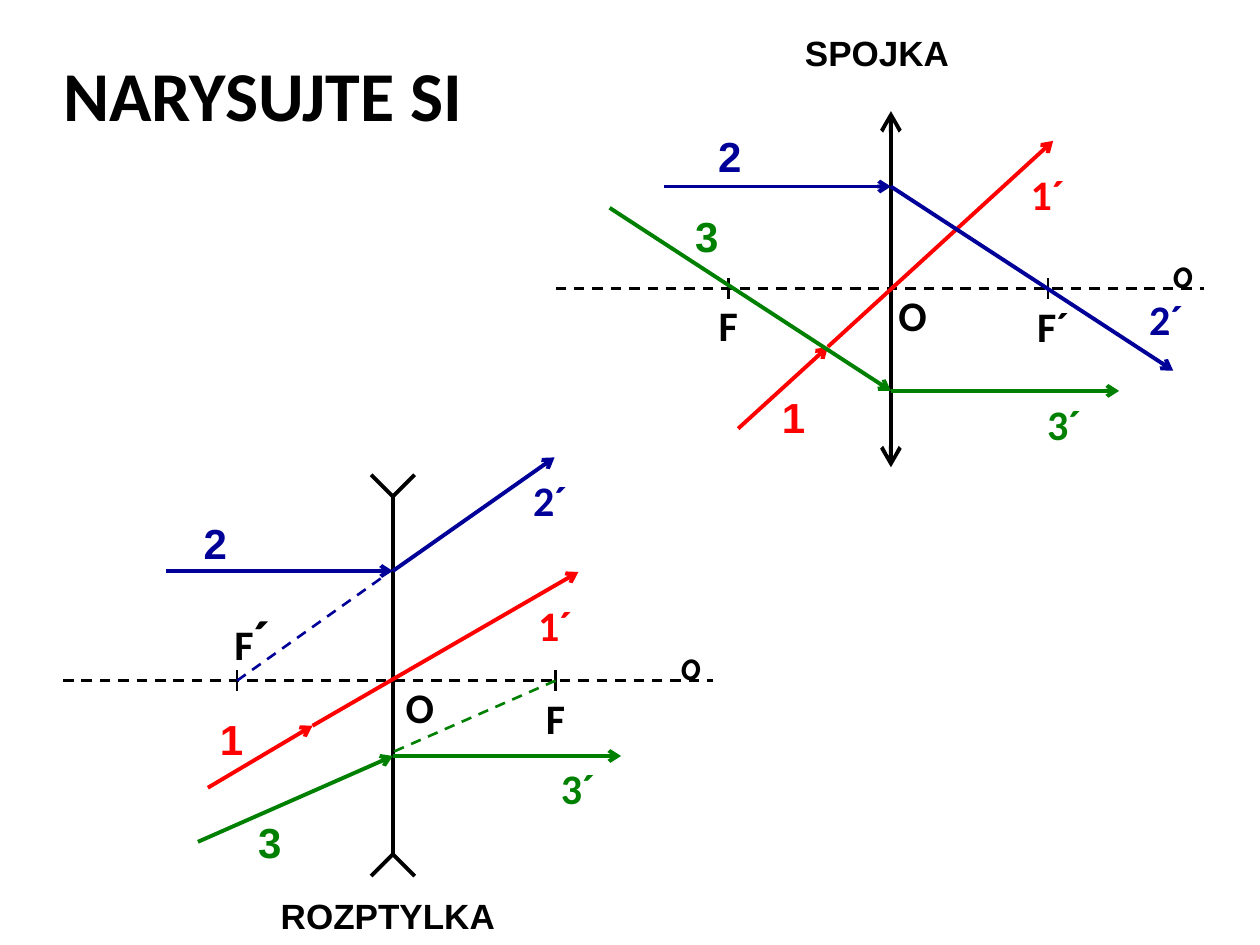
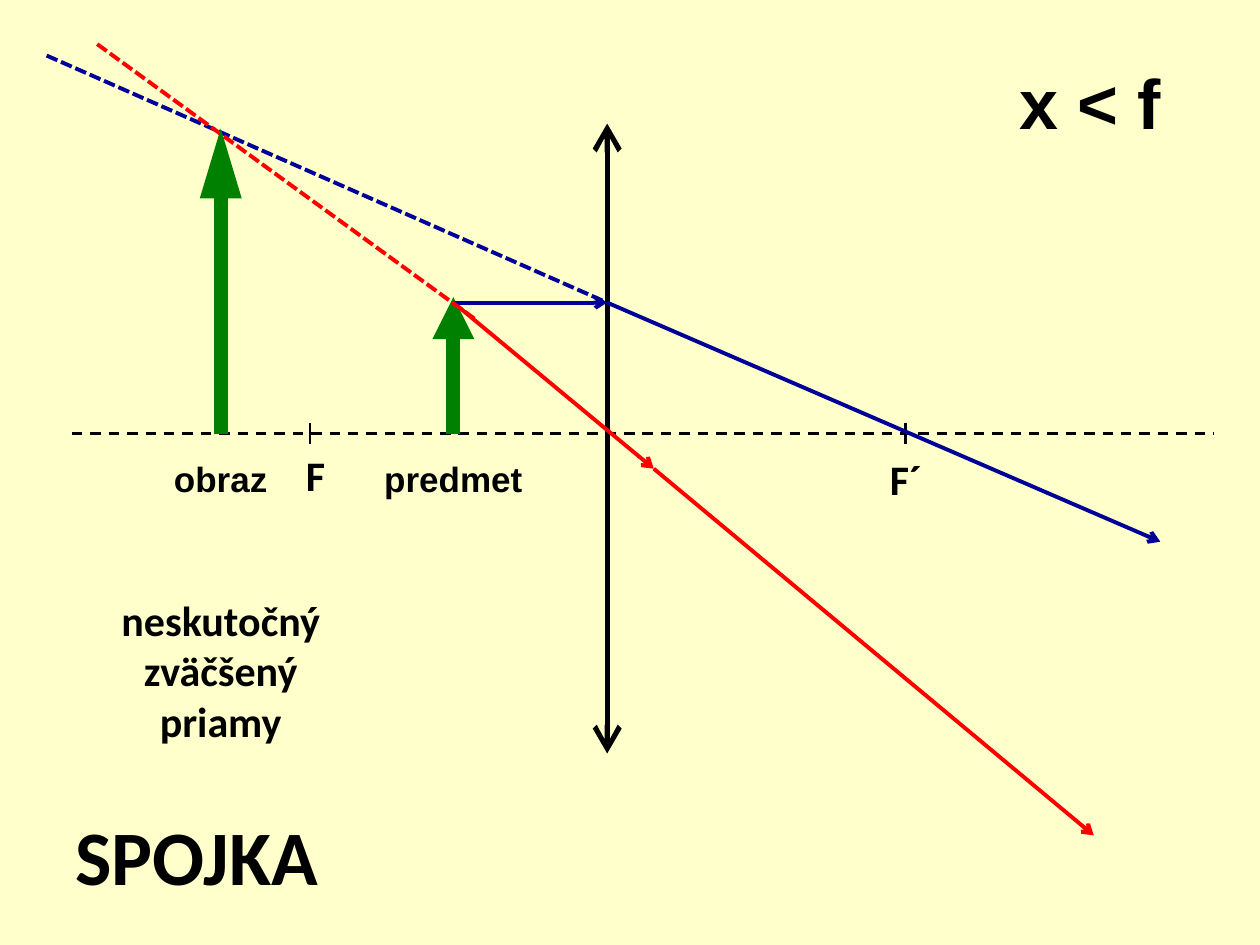
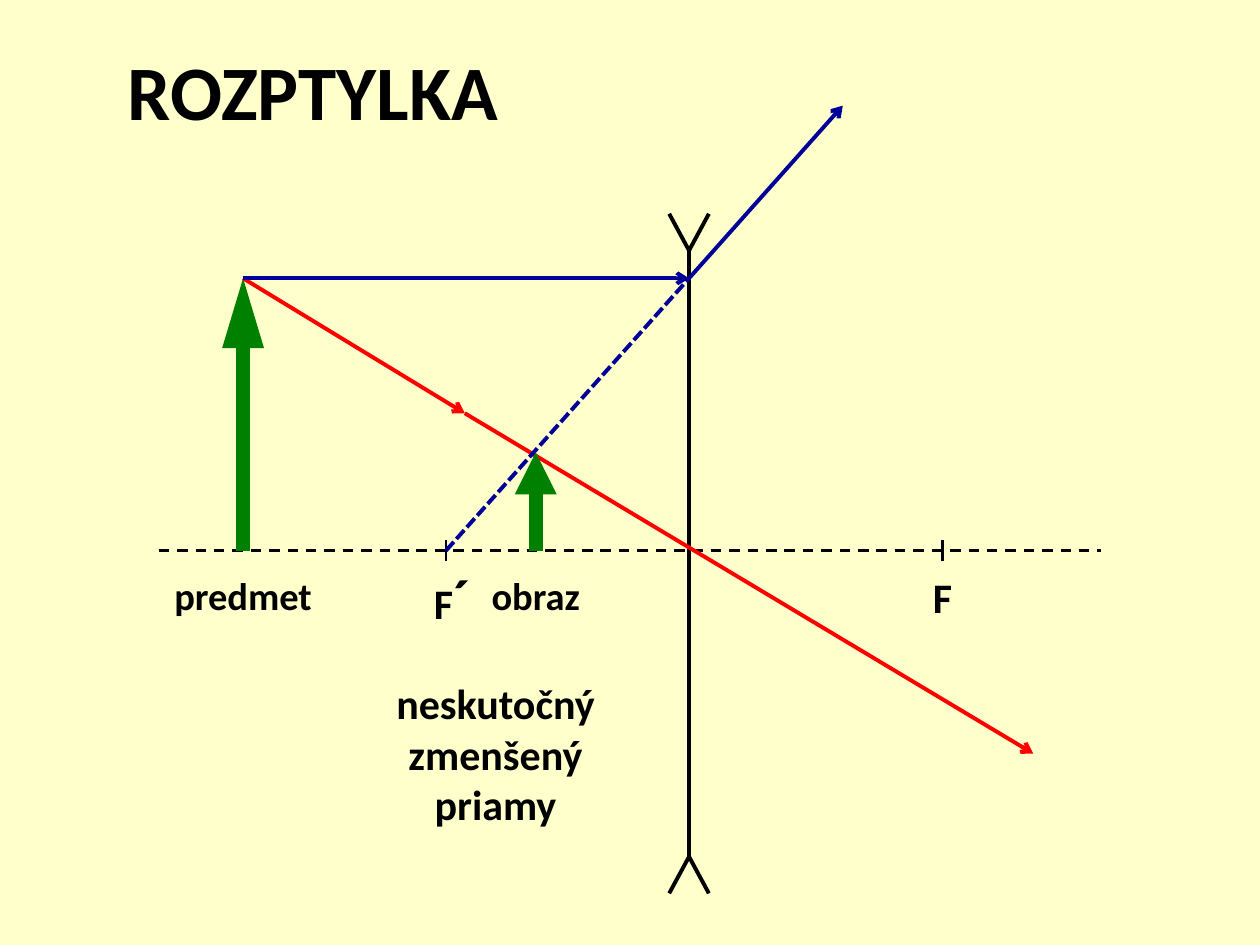
from lxml import etree
from pptx import Presentation
from pptx import util as u
from pptx.dml.color import RGBColor
from pptx.enum import dml, shapes, text
from pptx.oxml import ns

BLACK, RED, BLUE, GREEN = "000000", "FF0000", "000099", "008000"
WHITE, CREAM = "FFFFFF", "FFFFCC"
DASH, SHORT_DASH = dml.MSO_LINE.DASH, dml.MSO_LINE.SQUARE_DOT
LEFT, CENTER = text.PP_ALIGN.LEFT, text.PP_ALIGN.CENTER

THIN, NORMAL, HEAVY, SOLID_ARROW = 1.5, 2.25, 3, 8  # line widths in points
TICK = 0.21  # half the height of a focus mark
TITLE_HEIGHT = 2.13
RAY_COLORS = {"1": RED, "2": BLUE, "3": GREEN}


def color(hex_code):
    return RGBColor.from_string(hex_code)


def add_slide(presentation, background):
    slide = presentation.slides.add_slide(presentation.slide_layouts[5])
    slide.background.fill.solid()
    slide.background.fill.fore_color.rgb = color(background)
    return slide


# Text

def write(shape, lines, size, font_name="Calibri", hex_code=BLACK, align=CENTER):
    """Fill a shape with one bold paragraph per line."""
    frame = shape.text_frame
    frame.word_wrap = True
    frame.vertical_anchor = text.MSO_ANCHOR.TOP
    frame.text = "\n".join(lines)
    for paragraph in frame.paragraphs:
        paragraph.alignment = align
        font = paragraph.font
        font.name, font.size, font.bold = font_name, u.Pt(size), True
        font.color.rgb = color(hex_code)


def place_title(slide, title, left, top, width, height=TITLE_HEIGHT, size=44):
    shape = slide.shapes.title
    shape.left, shape.top = u.Cm(left), u.Cm(top)
    shape.width, shape.height = u.Cm(width), u.Cm(height)
    write(shape, [title], size)


def add_label(slide, lines, center, top, width=1.32, height=1.4, size=24, **style):
    """Add a text box that is centred on a horizontal position."""
    box = slide.shapes.add_textbox(
        u.Cm(center - width / 2), u.Cm(top), u.Cm(width), u.Cm(height))
    write(box, lines, size, **style)
    return box


def add_tall_prime_label(slide, letter, center, top, width, height):
    """Add a letter followed by a larger prime."""
    box = add_label(slide, [letter], center, top, width, height)
    prime = box.text_frame.paragraphs[0].add_run()
    prime.text = "´"
    prime.font.size = u.Pt(32)


def add_ray_names(slide, positions):
    """Name the rays: plain numbers come in, primed numbers go out."""
    for name, (center, top) in positions.items():
        primed = name.endswith("´")
        add_label(slide, [name], center, top,
                  width=2.16 if primed else 1.32,
                  font_name="Calibri" if primed else "Arial",
                  hex_code=RAY_COLORS[name[0]])


def add_lens_caption(slide, caption, center, top):
    add_label(slide, [caption], center, top, 6.86, 1.12, 20, font_name="Arial")


def add_object_and_image_names(slide, object_center, image_center, top, size, font_name):
    for name, center, width in (("predmet", object_center, 4.19), ("obraz", image_center, 2.9)):
        add_label(slide, [name], center, top, width, 1.15, size, font_name=font_name)


def add_image_properties(slide, size_change, center, top):
    add_label(slide, ["neskutočný", size_change, "priamy"], center, top, 5.21, 3.33)


# Lines

def add_line(slide, start, end, hex_code=BLACK, width=NORMAL, dash=None):
    ends = [u.Cm(value) for value in (*start, *end)]
    connector = slide.shapes.add_connector(shapes.MSO_CONNECTOR.STRAIGHT, *ends)
    connector.line.width = u.Pt(width)
    connector.line.color.rgb = color(hex_code)
    if dash:
        connector.line.dash_style = dash
    etree.SubElement(connector._element.spPr, ns.qn("a:effectLst"))
    return connector


def add_arrowhead(connector, end="tailEnd", kind="arrow", width="med", length="med"):
    head = etree.SubElement(connector.get_or_add_ln(), ns.qn(f"a:{end}"))
    for attribute, value in (("type", kind), ("w", width), ("len", length)):
        head.set(attribute, value)


def add_ray(slide, hex_code, *points):
    """Draw a ray through the points, each section ending in an arrowhead."""
    for start, end in zip(points, points[1:]):
        add_arrowhead(add_line(slide, start, end, hex_code))


def add_axis(slide, left, right, y, foci):
    """Draw the dashed optical axis and a mark at each focus."""
    add_line(slide, (left, y), (right, y), width=THIN, dash=DASH)
    for x in foci:
        add_line(slide, (x, y - TICK), (x, y + TICK), width=THIN)


def add_converging_lens(slide, x, top, bottom, width=NORMAL):
    lens = add_line(slide, (x, top), (x, bottom), width=width)
    for end in ("headEnd", "tailEnd"):
        add_arrowhead(lens, end, width="lg", length="lg")


def add_diverging_lens(slide, x, top, bottom, spread, rise):
    """Draw a line that forks outwards at both ends."""
    add_line(slide, (x, top), (x, bottom))
    for y, outer_y in ((top, top - rise), (bottom, bottom + rise)):
        for outer_x in (x - spread, x + spread):
            add_line(slide, (x, y), (outer_x, outer_y))


def add_upright_arrow(slide, x, base, tip, head_length):
    arrow = add_line(slide, (x, base), (x, tip), GREEN, SOLID_ARROW)
    add_arrowhead(arrow, kind="triangle", length=head_length)


# Diagrams

def name_axis_and_origin(slide, axis_name, origin_name):
    add_label(slide, ["o"], *axis_name, height=1.27, font_name="Comic Neue")
    add_label(slide, ["O"], *origin_name, align=LEFT)


def draw_converging_rays(slide):
    lens, axis = 17.96, 5.82
    object_focus, image_focus = 14.68, 21.13
    parallel_in, parallel_out = 3.76, 7.88

    add_converging_lens(slide, lens, 2.24, 9.42)
    add_axis(slide, 11.2, 24.28, axis, (object_focus, image_focus))
    name_axis_and_origin(slide, (23.85, 4.85), (18.52, 5.72))
    add_label(slide, ["F"], object_focus, 5.91)
    add_label(slide, ["F´"], 21.23, 5.94)

    add_ray(slide, RED, (14.88, 8.64), (16.69, 6.99), (21.23, 2.84))
    add_ray(slide, BLUE, (13.39, parallel_in), (lens, parallel_in), (23.65, 7.47))
    add_ray(slide, GREEN, (12.29, 4.19), (lens, parallel_out), (22.56, parallel_out))
    add_ray_names(slide, {
        "1": (16, 7.77), "1´": (21.12, 3.28),
        "2": (14.71, 2.51), "2´": (23.51, 5.79),
        "3": (14.25, 4.11), "3´": (21.45, 7.9)})
    add_lens_caption(slide, "SPOJKA", 17.68, 0.51)


def draw_diverging_rays(slide):
    lens, axis = 7.92, 13.72
    image_focus, object_focus = 4.78, 11.2
    parallel_in, parallel_out = 11.51, 15.24

    add_axis(slide, 1.27, 14.38, axis, (image_focus, object_focus))
    name_axis_and_origin(slide, (13.94, 12.75), (8.59, 13.61))
    add_tall_prime_label(slide, "F", 5.09, 12.07, 1.96, 1.75)
    add_label(slide, ["F"], object_focus, 13.84)
    add_diverging_lens(slide, lens, 10.01, 17.22, spread=0.44, rise=0.44)

    add_ray(slide, RED, (4.19, 15.88), (6.3, 14.63), (11.66, 11.53))
    add_ray(slide, BLUE, (3.35, parallel_in), (lens, parallel_in), (11.18, 9.22))
    add_ray(slide, GREEN, (3.99, 16.97), (lens, parallel_out), (12.52, parallel_out))
    for hex_code, focus, near_lens in ((BLUE, image_focus, (7.72, 11.63)),
                                       (GREEN, object_focus, (lens, 15.16))):
        add_line(slide, (focus, axis), near_lens, hex_code, THIN, DASH)
    add_ray_names(slide, {
        "1": (4.67, 14.25), "1´": (11.19, 11.96),
        "2": (4.34, 10.31), "2´": (11.09, 9.45),
        "3": (5.44, 16.33), "3´": (11.65, 15.24)})
    add_lens_caption(slide, "ROZPTYLKA", 7.82, 17.91)


# Slides

def build_ray_overview(presentation):
    slide = add_slide(presentation, WHITE)
    place_title(slide, "NARYSUJTE SI", 0.99, 0.91, 8.61, 1.96, size=40)
    draw_converging_rays(slide)
    draw_diverging_rays(slide)


def build_converging_image(presentation):
    slide = add_slide(presentation, CREAM)
    lens, axis = 12.24, 8.74
    object_focus, image_focus = 6.25, 18.26
    object_x, object_tip = 9.14, 6.1
    image_x, image_tip = 4.45, 2.59

    place_title(slide, "SPOJKA", 0.61, 16.18, 6.71)
    add_line(slide, (0.94, 1.12), (lens, object_tip), BLUE, dash=SHORT_DASH)
    add_converging_lens(slide, lens, 2.49, 15.19, HEAVY)
    add_axis(slide, 1.45, 24.46, axis, (object_focus, image_focus))
    add_label(slide, ["F"], 6.36, 8.94, 1.8, 1.27)
    add_label(slide, ["F´"], image_focus, 9.02, 1.19, 1.27)

    add_upright_arrow(slide, object_x, axis, 5.99, "med")
    add_ray(slide, RED, (object_x, object_tip), (13.18, 9.45), (22.05, 16.84))
    add_ray(slide, BLUE, (object_x, object_tip), (lens, object_tip), (23.39, 10.92))
    add_line(slide, (1.96, 0.89), (9.6, 6.45), RED, dash=SHORT_DASH)
    add_upright_arrow(slide, image_x, axis, image_tip, "lg")

    add_label(slide, ["x < f"], 21.98, 1.07, 5.11, 1.96, 40, font_name="Arial")
    add_object_and_image_names(slide, object_x, image_x, 9.09, 20, "Arial")
    add_image_properties(slide, "zväčšený", image_x, 11.86)


def build_diverging_image(presentation):
    slide = add_slide(presentation, CREAM)
    lens, axis = 13.89, 11.1
    image_focus, object_focus = 8.99, 19
    object_x, object_tip = 4.9, 5.61
    image_x, image_tip = 10.8, 9.12

    place_title(slide, "ROZPTYLKA", 0.71, 0.76, 11.2)
    add_axis(slide, 3.2, 22.2, axis, (image_focus, object_focus))
    add_tall_prime_label(slide, "F", 9.11, 11.23, 1.8, 1.6)
    add_label(slide, ["F"], object_focus, 11.4, 1.19, 1.27)
    add_diverging_lens(slide, lens, 5.05, 17.27, spread=0.4, rise=0.74)

    add_upright_arrow(slide, object_x, axis, object_tip, "lg")
    add_ray(slide, RED, (object_x, object_tip), (9.37, 8.33), (20.83, 15.19))
    add_line(slide, (image_focus, axis), (lens, object_tip), BLUE, dash=SHORT_DASH)
    add_ray(slide, BLUE, (object_x, object_tip), (lens, object_tip), (16.99, 2.13))
    add_upright_arrow(slide, image_x, axis, image_tip, "med")

    add_object_and_image_names(slide, object_x, image_x, 11.4, 22, "Calibri")
    add_image_properties(slide, "zmenšený", 9.99, 13.54)


def main():
    presentation = Presentation()
    presentation.slide_width, presentation.slide_height = u.Cm(25.4), u.Cm(19.05)
    build_ray_overview(presentation)
    build_converging_image(presentation)
    build_diverging_image(presentation)
    presentation.save("out.pptx")


if __name__ == "__main__":
    main()
